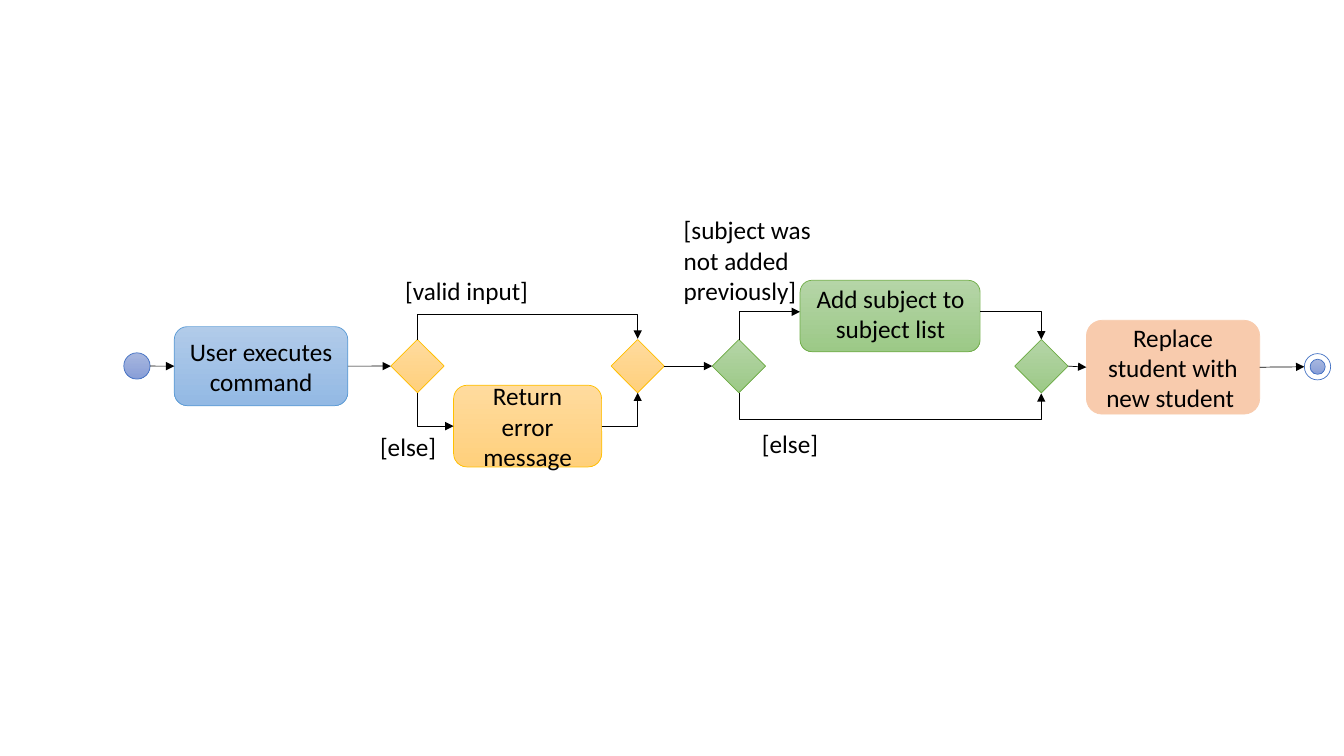
from pptx import Presentation
from pptx.dml.color import RGBColor
from pptx.enum.shapes import MSO_CONNECTOR as Link, MSO_SHAPE as Form
from pptx.enum.text import MSO_ANCHOR as Anchor, MSO_AUTO_SIZE as Auto, PP_ALIGN as Align
from pptx.oxml.ns import qn
from pptx.util import Pt
from lxml.etree import SubElement as Sub

BLACK = RGBColor(0x00, 0x00, 0x00)
WHITE = RGBColor(0xFF, 0xFF, 0xFF)
PEACH = RGBColor(0xF8, 0xCB, 0xAD)
# Each style holds the top fill, the bottom fill and the outline
NAVY = (RGBColor(0xA8, 0xB7, 0xDF), RGBColor(0x88, 0x9E, 0xD7), RGBColor(0x44, 0x72, 0xC4))
BLUE = (RGBColor(0xB1, 0xCB, 0xE9), RGBColor(0x93, 0xB9, 0xE4), RGBColor(0x5B, 0x9B, 0xD5))
GOLD = (RGBColor(0xFF, 0xDB, 0x9E), RGBColor(0xFF, 0xD0, 0x7C), RGBColor(0xFF, 0xC0, 0x00))
GREEN = (RGBColor(0xB5, 0xD5, 0xA7), RGBColor(0x9C, 0xC9, 0x87), RGBColor(0x70, 0xAD, 0x47))
ROSE = (PEACH, PEACH, PEACH)
RING = (WHITE, WHITE, NAVY[2])
FONT = {"name": "Calibri", "size": Pt(18)}

deck = Presentation()
deck.slide_width, deck.slide_height = Pt(960), Pt(540)
slide = deck.slides.add_slide(deck.slide_layouts[6])
shapes = slide.shapes


def write(shape, text, align, frame):
    """Put one formatted paragraph into a shape."""
    body = shape.text_frame
    for key, val in frame.items():
        setattr(body, key, val)
    para = body.paragraphs[0]
    para.alignment = align
    run = para.add_run()
    run.text = text
    for key, val in FONT.items():
        setattr(run.font, key, val)
    run.font.color.rgb = BLACK


def finish(line):
    """Thin black line with an arrowhead and no shadow."""
    line.line.color.rgb = BLACK
    line.line.width = Pt(0.5)
    Sub(line.line._get_or_add_ln(), qn("a:tailEnd"), type="triangle")
    Sub(line._element.spPr, qn("a:effectLst"))


# Nodes: name, form, style, left, top, width, height, text
SIDE, TOP = 38, 242.5
final = shapes.add_group_shape()
nodes = [
    ("start", Form.OVAL, NAVY, 88.4, 252, 18.8, 18.8, ""),
    ("command", Form.ROUNDED_RECTANGLE, BLUE, 124.5, 233.3, 124, 56.5, "User executes command"),
    ("check", Form.DIAMOND, GOLD, 279.2, TOP, SIDE, SIDE, ""),
    ("error", Form.ROUNDED_RECTANGLE, GOLD, 324, 275.2, 105.8, 58.4, "Return error message"),
    ("join", Form.DIAMOND, GOLD, 436.5, TOP, SIDE, SIDE, ""),
    ("fork", Form.DIAMOND, GREEN, 508.8, TOP, SIDE, SIDE, ""),
    ("add", Form.ROUNDED_RECTANGLE, GREEN, 571.5, 200.2, 128.6, 51, ""),
    ("merge", Form.DIAMOND, GREEN, 724.8, TOP, SIDE, SIDE, ""),
    ("replace", Form.ROUNDED_RECTANGLE, ROSE, 776, 228.8, 123.8, 67,
     "Replace student with new student "),
    ("ring", Form.OVAL, RING, 931.7, 252.6, 18.8, 18.8, ""),
    ("dot", Form.OVAL, NAVY, 935.8, 256.6, 10.8, 10.8, ""),
]
made = {}
for name, form, style, left, top, wide, high, text in nodes:
    home = final.shapes if name in ("ring", "dot") else shapes
    node = home.add_shape(form, Pt(left), Pt(top), Pt(wide), Pt(high))
    node.shadow.inherit = False
    light, dark, edge = style
    if light == dark:
        node.fill.solid()
        node.fill.fore_color.rgb = light
    else:
        node.fill.gradient()
        node.fill.gradient_angle = 270
        for stop, tone in zip(node.fill.gradient_stops, (light, dark)):
            stop.color.rgb = tone
    node.line.color.rgb = edge
    node.line.width = Pt(0.5)
    if text:
        write(node, text, Align.CENTER, {"word_wrap": True, "vertical_anchor": Anchor.MIDDLE})
    made[name] = node

# Straight arrows: joined nodes, or a free end given as a point
for tail, head in [((107.2, 261.5), "command"), ("command", "check"), ("join", "fork"),
                   ("merge", "replace"), ("replace", (931.7, 262))]:
    x, y = tail if type(tail) is tuple else head if type(head) is tuple else (0, 0)
    arrow = shapes.add_connector(Link.STRAIGHT, Pt(x), Pt(y), Pt(x), Pt(y))
    if type(tail) is str:
        arrow.begin_connect(made[tail], 3)
    if type(head) is str:
        arrow.end_connect(made[head], 1)
    else:
        arrow.end_x, arrow.end_y = Pt(head[0]), Pt(head[1])
    finish(arrow)

# Bent arrows: start, end, whether the first leg is vertical, depth of a U bend
LOW = TOP + SIDE
for x1, y1, x2, y2, rise, deep in [
    (298.2, LOW, 324, 304.4, True, 0),
    (298.2, TOP, 455.5, TOP - 0.5, True, 17.5),
    (429.8, 304.4, 455.5, LOW, False, 0),
    (527.8, TOP, 571.5, 222.7, True, 0),
    (527.8, LOW, 743.8, LOW + 0.5, True, 18.5),
    (700.1, 222.7, 743.8, TOP, False, 0),
]:
    wide, high = x2 - x1, abs(y2 - y1)
    if rise:
        wide, high = high, wide
    left, top = (x1 + x2 - wide) / 2, (y1 + y2 - high) / 2
    bend = shapes.add_connector(Link.ELBOW, Pt(left), Pt(top), Pt(left + wide), Pt(top + high))
    prop = bend._element.spPr
    place, geom = prop.find(qn("a:xfrm")), prop.find(qn("a:prstGeom"))
    if rise:
        place.set("rot", "16200000")
        if y2 > y1:
            place.set("flipH", "1")
    elif y2 < y1:
        place.set("flipV", "1")
    if deep:
        ratio = round(deep / wide * 100000)
        Sub(geom.find(qn("a:avLst")), qn("a:gd"), name="adj1", fmla=f"val {ratio}")
    else:
        geom.set("prst", "bentConnector2")
    finish(bend)

# Guard labels and the caption of the green step
for text, left, top, wide, high, align in [
    ("[valid input]", 282.3, 193, 111.6, 29, Align.LEFT),
    ("[else]", 264.4, 304.8, 67, 29, Align.LEFT),
    ("[subject was not added previously]", 481.3, 149.8, 111.6, 72.7, Align.LEFT),
    ("[else]", 537.2, 302.6, 67, 29, Align.LEFT),
    ("Add subject to subject list", 573.8, 198.5, 124.6, 51, Align.CENTER),
]:
    label = shapes.add_textbox(Pt(left), Pt(top), Pt(wide), Pt(high))
    write(label, text, align, {"word_wrap": True, "auto_size": Auto.SHAPE_TO_FIT_TEXT})

deck.save("out.pptx")
